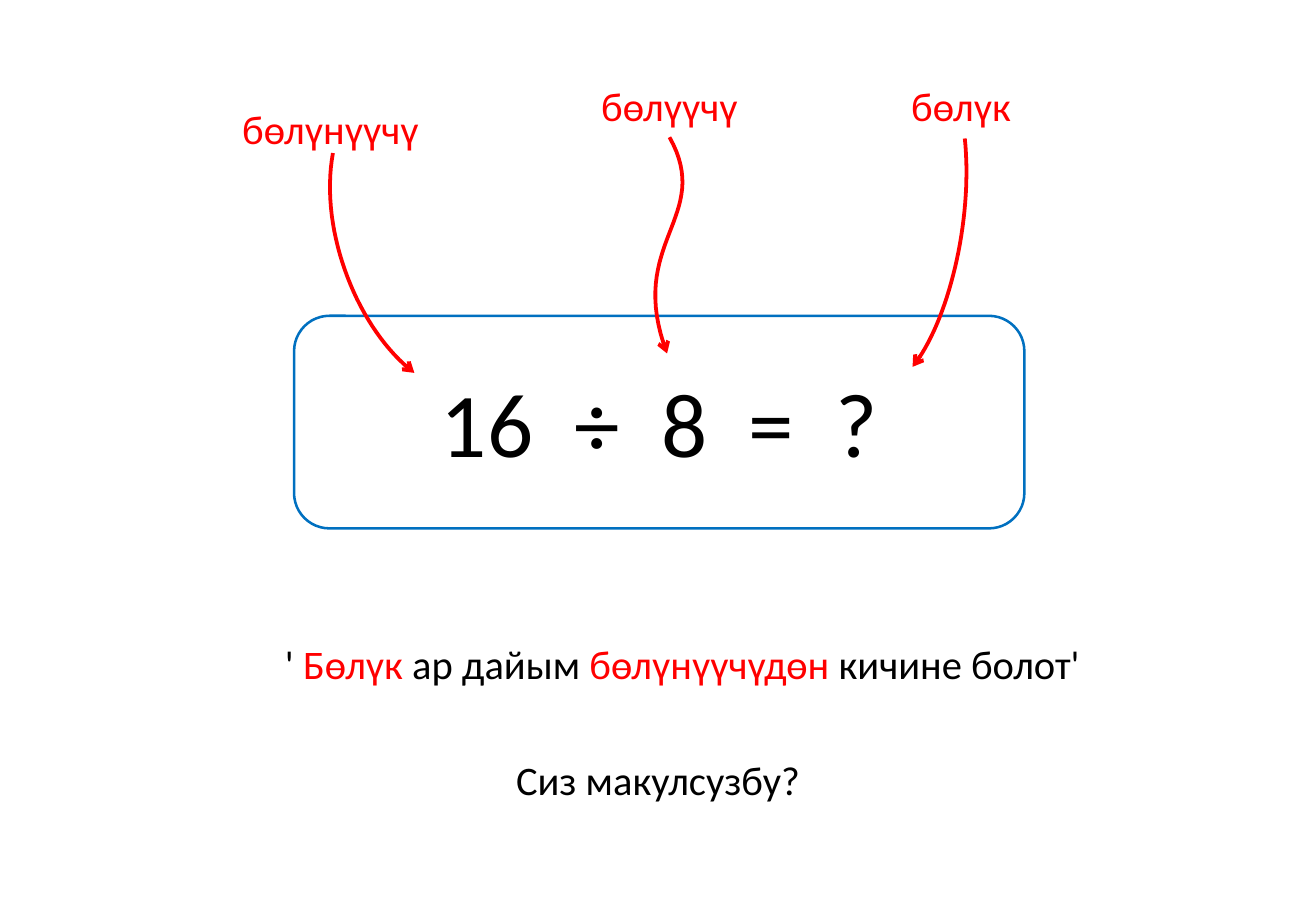
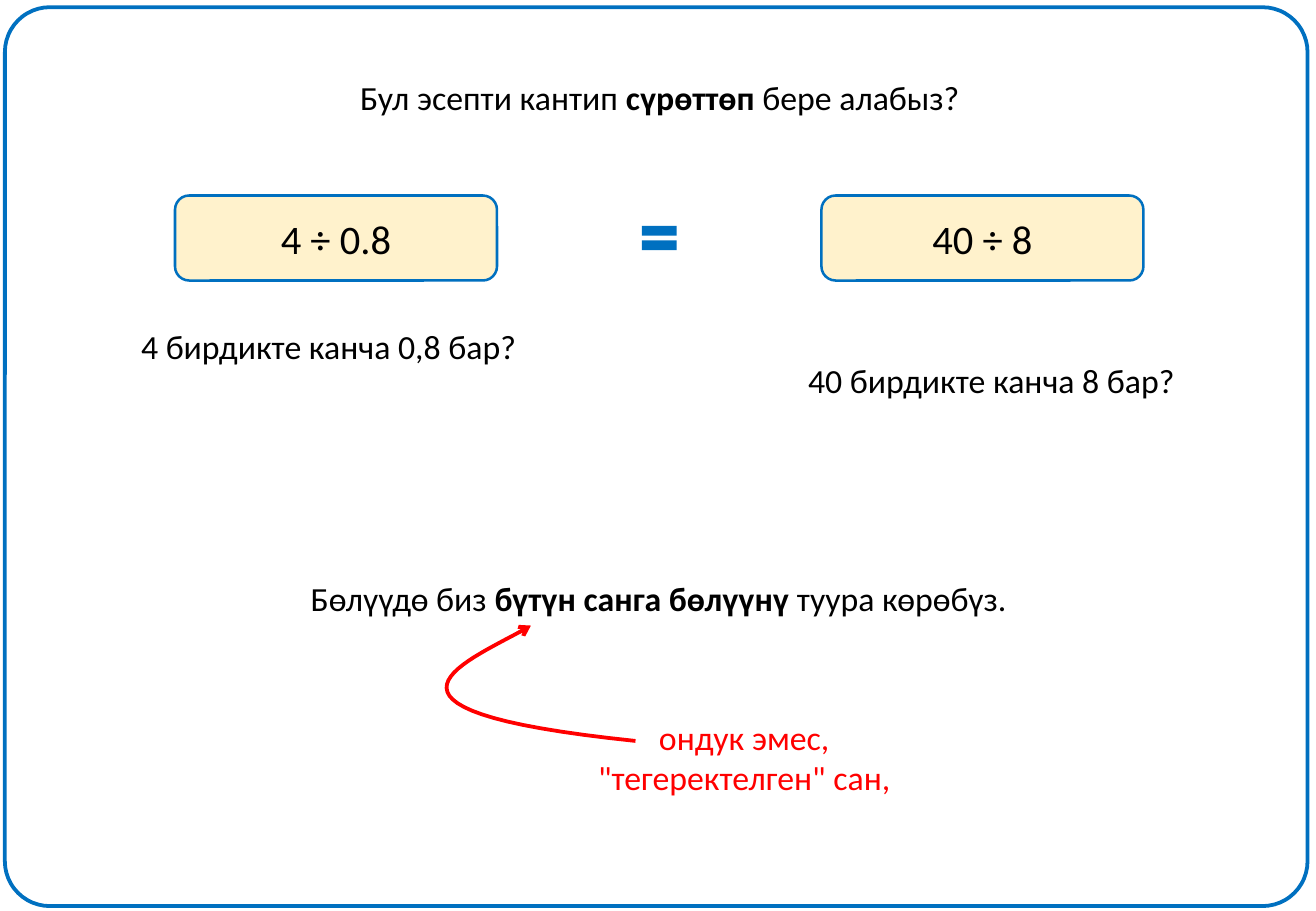
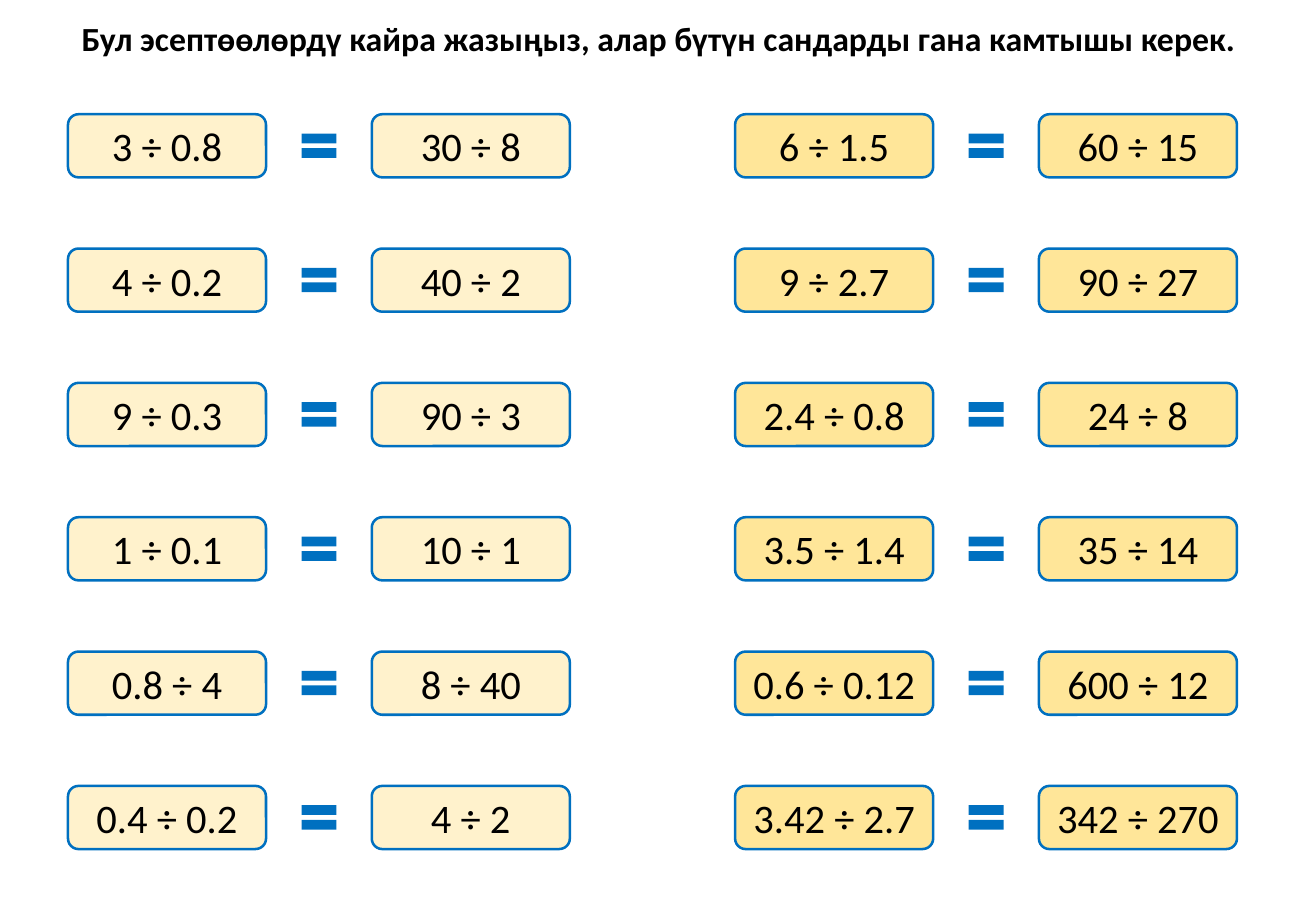
"""Build three slides on dividing by whole numbers instead of decimals."""
from dataclasses import dataclass

from lxml import etree
from pptx import Presentation
from pptx.dml.color import RGBColor
from pptx.enum.shapes import MSO_SHAPE
from pptx.enum.text import MSO_ANCHOR, PP_ALIGN
from pptx.oxml.ns import qn
from pptx.util import Inches, Pt

ROUNDED, EQUALS = MSO_SHAPE.ROUNDED_RECTANGLE, MSO_SHAPE.MATH_EQUAL
TOP, MIDDLE, CENTER = MSO_ANCHOR.TOP, MSO_ANCHOR.MIDDLE, PP_ALIGN.CENTER
TITLE_ONLY, BLANK = 5, 6


@dataclass(frozen=True)
class Theme:
    font: str = "Calibri"
    ink: str = "000000"
    paper: str = "FFFFFF"
    blue: str = "0070C0"
    red: str = "FF0000"
    cream: str = "FFF2CC"
    gold: str = "FFE699"
    formula: int = 54
    label: int = 24
    body: int = 20
    thin: float = 1.5
    thick: float = 2.25


T = Theme()
RED, BOLD, WIDE = {"color": T.red}, {"bold": True}, {"spacing": 12.2}

FORMULA = ["16", "÷", "8", "=", "?"]
FORMULA_BOX = (3.51, 2.97, 3.83, 1.01)
FORMULA_FRAME = (2.42, 2.6, 6.01, 1.75)
TERMS = [
    ("бөлүнүүчү", (1.79, 0.81, 1.86, 0.5),
     [(3.41, 3.07), (2.96, 2.73), (2.62, 1.92), (2.74, 1.26)]),
    ("бөлүүчү", (4.76, 0.62, 1.5, 0.5),
     [(5.49, 2.91), (5.14, 1.99), (5.88, 1.79), (5.51, 1.13)]),
    ("бөлүк", (7.16, 0.62, 1.5, 0.5),
     [(7.51, 3.02), (7.8, 2.66), (8.01, 1.82), (7.94, 1.14)]),
]
CLAIM = [
    ((1.72, 5.21, 7.79, 0.5),
     [[("' ", {}), ("Бөлүк", RED), (" ар дайым ", {}), ("бөлүнүүчүдөн", RED),
       (" кичине болот'", {})]]),
    ((1.74, 6.17, 7.35, 0.5), [[("Сиз макулсузбу?", {})]]),
]

MODEL_TITLE = [[("Бул эсепти кантип ", {}), ("сүрөттөп", BOLD), (" бере алабыз?", {})]]
MODEL_TITLE_BOX = (2.85, 0.58, 5.16, 0.44)
MODEL_FRAME = (0.04, 0.06, 10.72, 7.4)
MODEL_PAIR = ("4 ÷ 0.8", "40 ÷ 8")
MODEL_NOTES = [
    ((1.05, 2.63, 3.31, 0.44), [[("4 бирдикте канча 0,8 бар?", {})]]),
    ((6.54, 2.91, 3.24, 0.44), [[("40 бирдикте канча 8 бар?", {})]]),
    ((2.45, 4.71, 5.94, 0.44),
     [[("Бөлүүдө биз ", {}), ("бүтүн санга бөлүүнү ", BOLD), ("туура көрөбүз.", {})]]),
    ((4.74, 5.85, 2.77, 0.77),
     [[("ондук эмес,", RED)], [('"тегеректелген" сан,', RED)]]),
]
MODEL_ARROW = [(4.37, 5.15), (3.9, 5.43), (2.71, 5.84), (5.23, 6.1)]

TASK_TITLE = [[("Бул эсептөөлөрдү кайра жазыңыз, алар бүтүн сандарды гана камтышы керек.", BOLD)]]
TASK_TITLE_BOX = (0.53, 0.1, 9.78, 0.44)
TASK_COLUMNS = [
    (0.56, T.cream, [("3 ÷ 0.8", "30 ÷ 8"), ("4 ÷ 0.2", "40 ÷ 2"), ("9 ÷ 0.3", "90 ÷ 3"),
                     ("1 ÷ 0.1", "10 ÷ 1"), ("0.8 ÷ 4", "8 ÷ 40"), ("0.4 ÷ 0.2", "4 ÷ 2")]),
    (6.05, T.gold, [("6 ÷ 1.5", "60 ÷ 15"), ("9 ÷ 2.7", "90 ÷ 27"), ("2.4 ÷ 0.8", "24 ÷ 8"),
                    ("3.5 ÷ 1.4", "35 ÷ 14"), ("0.6 ÷ 0.12", "600 ÷ 12"),
                    ("3.42 ÷ 2.7", "342 ÷ 270")]),
]
FIRST_ROW, LAST_ROW = 0.94, 6.47
EQUALS_W, EQUALS_H = 0.39, 0.34


def inches(box):
    return [Inches(v) for v in box]


def write(sp, paragraphs, size, anchor=TOP, wrap=False):
    tf = sp.text_frame
    for name, value in {"word_wrap": wrap, "vertical_anchor": anchor}.items():
        setattr(tf, name, value)
    for i, runs in enumerate(paragraphs):
        p = tf.paragraphs[0] if i == 0 else tf.add_paragraph()
        p.alignment = CENTER
        for text, style in runs:
            r = p.add_run()
            r.text = text
            values = {"name": T.font, "size": Pt(size), "bold": style.get("bold", False)}
            for name, value in values.items():
                setattr(r.font, name, value)
            r.font.color.rgb = RGBColor.from_string(style.get("color", T.ink))
            if "spacing" in style:
                r.font._element.set("spc", str(round(style["spacing"] * 100)))


def add_text(s, box, paragraphs, size):
    write(s.shapes.add_textbox(*inches(box)), paragraphs, size)


def add_title(s, box, paragraphs):
    sp = s.shapes.title
    for name, value in zip(("left", "top", "width", "height"), inches(box)):
        setattr(sp, name, value)
    write(sp, paragraphs, T.body)


def paint(sp, fill=None, line=None, weight=T.thin):
    sp.shadow.inherit = False
    if fill:
        sp.fill.solid()
        sp.fill.fore_color.rgb = RGBColor.from_string(fill)
    else:
        sp.fill.background()
    if line:
        sp.line.color.rgb = RGBColor.from_string(line)
        sp.line.width = Pt(weight)
    else:
        sp.line.fill.background()


def add_shape(s, kind, box, **look):
    sp = s.shapes.add_shape(kind, *inches(box))
    paint(sp, **look)
    return sp


def add_curve(s, points, steps=32):
    """Draw a cubic curve with its arrowhead at the first point."""
    curve = []
    for i in range(steps + 1):
        t = i / steps
        weights = ((1 - t) ** 3, 3 * t * (1 - t) ** 2, 3 * t * t * (1 - t), t ** 3)
        curve.append(tuple(Inches(sum(w * pt[axis] for w, pt in zip(weights, points)))
                           for axis in (0, 1)))
    builder = s.shapes.build_freeform(*curve[0])
    builder.add_line_segments(curve[1:], close=False)
    sp = builder.convert_to_shape()
    paint(sp, line=T.red, weight=T.thick)
    etree.SubElement(sp.line._get_or_add_ln(), qn("a:headEnd"), type="arrow")


def add_pair(s, left, top, size, gap, texts, fill):
    """Draw two equal sums with an equals sign centred between them."""
    w, h = size
    for i, text in enumerate(texts):
        x = left + i * (w + EQUALS_W + 2 * gap)
        sp = add_shape(s, ROUNDED, (x, top, w, h), fill=fill, line=T.blue)
        write(sp, [[(text, {})]], T.label, anchor=MIDDLE, wrap=True)
    box = (left + w + gap, top + (h - EQUALS_H) / 2, EQUALS_W, EQUALS_H)
    add_shape(s, EQUALS, box, fill=T.blue)


def build_terms(s):
    add_shape(s, ROUNDED, FORMULA_FRAME, fill=T.paper, line=T.blue)
    runs = [(FORMULA[0], {})]
    for token in FORMULA[1:]:
        runs += [(" ", WIDE), (token, {})]
    add_text(s, FORMULA_BOX, [runs], T.formula)
    for term, box, points in TERMS:
        add_text(s, box, [[(term, RED)]], T.label)
        add_curve(s, points)
    for box, paragraphs in CLAIM:
        add_text(s, box, paragraphs, T.label)


def build_model(s):
    add_title(s, MODEL_TITLE_BOX, MODEL_TITLE)
    frame = add_shape(s, ROUNDED, MODEL_FRAME, line=T.blue, weight=T.thick)
    frame.adjustments[0] = 0.05
    add_pair(s, 1.44, 1.61, (2.65, 0.7), 1.14, MODEL_PAIR, T.cream)
    for box, paragraphs in MODEL_NOTES:
        add_text(s, box, paragraphs, T.body)
    add_curve(s, MODEL_ARROW)


def build_task(s):
    add_title(s, TASK_TITLE_BOX, TASK_TITLE)
    for left, fill, pairs in TASK_COLUMNS:
        pitch = (LAST_ROW - FIRST_ROW) / (len(pairs) - 1)
        for row, texts in enumerate(pairs):
            add_pair(s, left, FIRST_ROW + row * pitch, (1.63, 0.52), 0.24, texts, fill)


def main():
    prs = Presentation()
    prs.slide_width, prs.slide_height = Inches(10.83), Inches(7.5)
    for layout, build in ((BLANK, build_terms), (TITLE_ONLY, build_model),
                          (TITLE_ONLY, build_task)):
        build(prs.slides.add_slide(prs.slide_layouts[layout]))
    prs.save("out.pptx")


if __name__ == "__main__":
    main()
